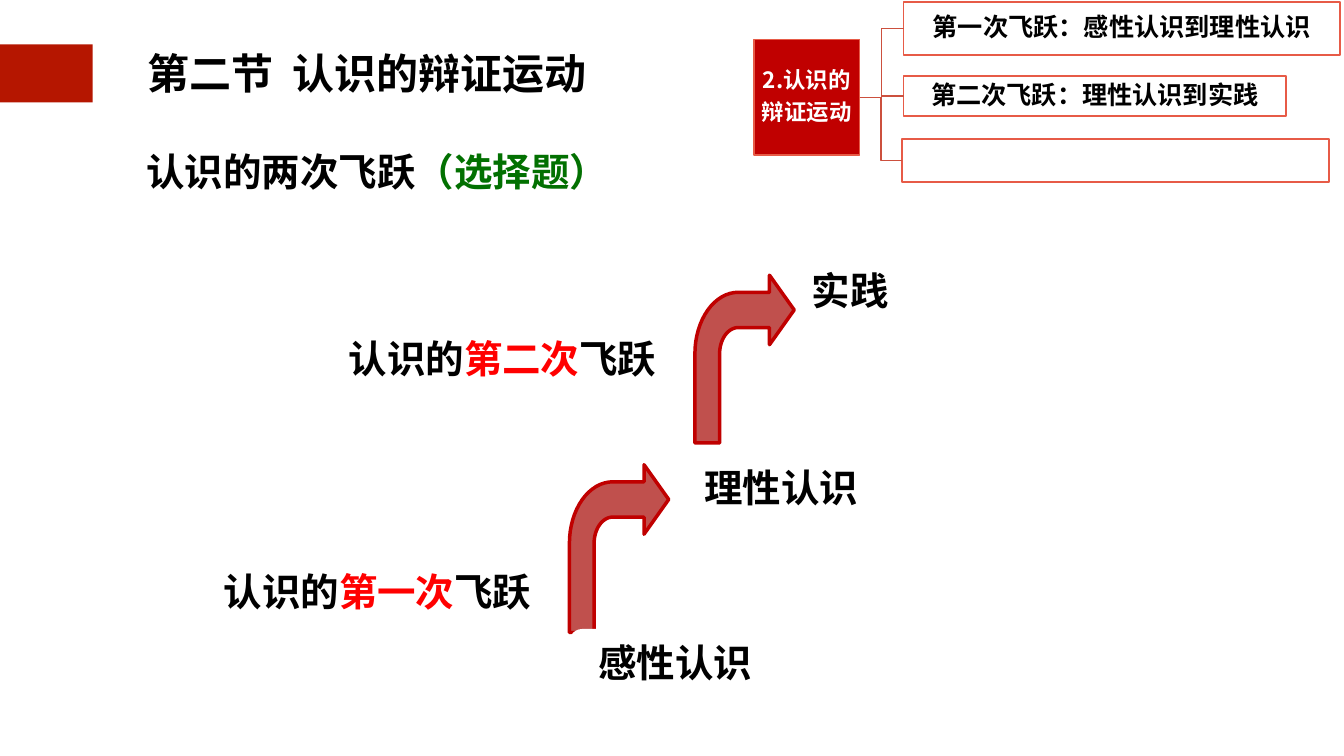
import math

from lxml import etree
from pptx import Presentation
from pptx.dml.color import RGBColor
from pptx.enum.shapes import MSO_CONNECTOR, MSO_SHAPE
from pptx.enum.text import MSO_ANCHOR, MSO_AUTO_SIZE, PP_ALIGN
from pptx.oxml.ns import qn
from pptx.util import Pt

PX = 9144  # 100 px to the inch
CJK_FONT, TITLE_FONT = "Noto Sans CJK SC", "Roboto"
BLACK = RGBColor(0x00, 0x00, 0x00)
WHITE = RGBColor(0xFF, 0xFF, 0xFF)
RED = RGBColor(0xFF, 0x00, 0x00)
GREEN = RGBColor(0x02, 0x70, 0x01)
BAR_RED = RGBColor(0xB5, 0x16, 0x00)
DARK_RED = RGBColor(0xC0, 0x00, 0x00)
ARROW_RED = RGBColor(0xC0, 0x50, 0x4D)
BOX_LINE = RGBColor(0xE7, 0x5B, 0x47)
LINK_LINE = RGBColor(0xCC, 0x50, 0x3E)
RECT, ROUND_RECT = MSO_SHAPE.RECTANGLE, MSO_SHAPE.ROUNDED_RECTANGLE
ELBOW = MSO_CONNECTOR.ELBOW
MIDDLE, TOP = MSO_ANCHOR.MIDDLE, MSO_ANCHOR.TOP
CENTER, LEFT = PP_ALIGN.CENTER, PP_ALIGN.LEFT
NO_AUTOFIT = MSO_AUTO_SIZE.NONE
LEFT_SITE, RIGHT_SITE = 1, 3


def emu(*lengths):
    return [length * PX for length in lengths]


def write(shape, lines, size, color=BLACK, font=CJK_FONT, align=CENTER,
          anchor=MIDDLE, inset=10, spacing=None, after=None, wrap=True):
    """Fill a shape with lines, each a list of (text, colour or None) runs."""
    frame = shape.text_frame
    frame.word_wrap = wrap
    frame.auto_size = NO_AUTOFIT
    frame.vertical_anchor = anchor
    frame.margin_left = frame.margin_right = inset * PX
    frame.margin_top = frame.margin_bottom = inset * PX
    for number, runs in enumerate(lines):
        paragraph = frame.add_paragraph() if number else frame.paragraphs[0]
        paragraph.alignment = align
        if spacing:
            paragraph.line_spacing = spacing
        if after:
            paragraph.space_after = Pt(after)
        paragraph.font.size = Pt(size)
        paragraph.font.bold = True
        paragraph.font.name = font
        east_asian = etree.SubElement(paragraph.font._element, qn("a:ea"))
        east_asian.set("typeface", CJK_FONT)
        for text, run_color in runs:
            run = paragraph.add_run()
            run.text = text
            run.font.color.rgb = run_color or color


def paint(shape, fill=None, line=None, width=2):
    shape.shadow.inherit = False
    if fill is None:
        shape.fill.background()
    else:
        shape.fill.solid()
        shape.fill.fore_color.rgb = fill
    if line is None:
        shape.line.fill.background()
    else:
        shape.line.color.rgb = line
        shape.line.width = Pt(width)


def add_box(slide, box, fill=None, line=None, kind=RECT):
    shape = slide.shapes.add_shape(kind, *emu(*box))
    paint(shape, fill, line)
    return shape


def add_heading(slide, box):
    left, top, width, height = box
    add_box(slide, (0, top + 7, 184, 115), BAR_RED)
    title = slide.shapes.title
    title.left, title.top, title.width, title.height = emu(
        left + 283, top, width - 283, height)
    write(title, [[("第二节  认识的辩证运动", None)]], 60, font=TITLE_FONT,
          inset=6, wrap=False)


def add_caption(slide, box, runs, spacing=None):
    caption = slide.shapes.add_textbox(*emu(*box))
    write(caption, [runs], 55, align=LEFT, anchor=TOP, spacing=spacing)


def add_stage(slide, box, name):
    stage = add_box(slide, box, WHITE, kind=ROUND_RECT)
    stage.adjustments[0] = 0.19
    write(stage, [[(name, None)]], 55, inset=12)


def quarter_arc(center_x, center_y, radius_x, radius_y, steps=16):
    """Points from the left end of an ellipse quarter to its top."""
    angles = [math.pi / 2 * step / steps for step in range(steps + 1)]
    return [(center_x - radius_x * math.cos(angle),
             center_y - radius_y * math.sin(angle)) for angle in angles]


def add_leap_arrow(slide, left, top):
    """Upward arrow that bends to the right, 197 by 333 px."""
    outer = quarter_arc(86, 156, 86, 122)
    inner = quarter_arc(86, 156, 37, 52)[::-1]
    head = [(148, 34), (148, 0), (197, 69), (148, 138), (148, 104)]
    outline = [(0, 333), *outer, *head, *inner, (49, 333)]
    points = [(round((left + x) * PX), round((top + y) * PX))
              for x, y in outline]
    builder = slide.shapes.build_freeform(*points[0])
    builder.add_line_segments(points[1:], close=True)
    paint(builder.convert_to_shape(), ARROW_RED, DARK_RED, 5)


def add_leaps(slide, box):
    """Two arrows that climb from perception through reason to practice."""
    left, top = box[:2]
    add_stage(slide, (left + 906, top + 391, 420, 132), "理性认识")
    add_stage(slide, (left + 1043, top, 420, 132), "实践")
    leaps = [("第二次", 248, 145, 945, 37), ("第一次", 0, 609, 696, 413)]
    for ordinal, text_x, text_y, arrow_x, arrow_y in leaps:
        add_leap_arrow(slide, left + arrow_x, top + arrow_y)
        add_caption(slide, (left + text_x, top + text_y, 697, 120),
                    [("认识的", None), (ordinal, RED), ("飞跃", None)])
    add_stage(slide, (left + 696, top + 739, 420, 132), "感性认识")


def link(slide, parent, child):
    connector = slide.shapes.add_connector(ELBOW, 0, 0, 0, 0)
    connector.begin_connect(parent, RIGHT_SITE)
    connector.end_connect(child, LEFT_SITE)
    connector.line.color.rgb = LINK_LINE
    connector.line.width = Pt(2)
    properties = connector._element.spPr
    etree.SubElement(properties, qn("a:effectLst"))


def add_outline_tree(slide, box):
    left, top = box[:2]
    root = add_box(slide, (left, top + 74, 210, 230), DARK_RED, BOX_LINE)
    write(root, [[("2.认识的", None)], [("辩证运动", None)]], 32, WHITE,
          inset=2, spacing=0.9, after=11)
    branches = [
        ((297, 0, 866, 105), "第一次飞跃：感性认识到理性认识"),
        ((297, 147, 759, 79), "第二次飞跃：理性认识到实践"),
        ((294, 272, 847, 85), None),
    ]
    for (x, y, width, height), topic in branches:
        branch = add_box(slide, (left + x, top + y, width, height),
                         line=BOX_LINE)
        if topic:
            write(branch, [[(topic, None)]], 36, inset=3, spacing=0.9,
                  after=13)
        link(slide, root, branch)


def main():
    deck = Presentation()
    deck.slide_width, deck.slide_height = emu(2667, 1500)
    title_only = deck.slide_layouts[5]
    slide = deck.slides.add_slide(title_only)
    add_heading(slide, (0, 81, 1175, 128))
    add_caption(slide, (281, 238, 1200, 158),
                [("认识的两次飞跃", None), ("（选择题）", GREEN)], 1.5)
    add_leaps(slide, (434, 509, 1463, 871))
    add_outline_tree(slide, (1496, 4, 1163, 357))
    deck.save("out.pptx")


if __name__ == "__main__":
    main()
